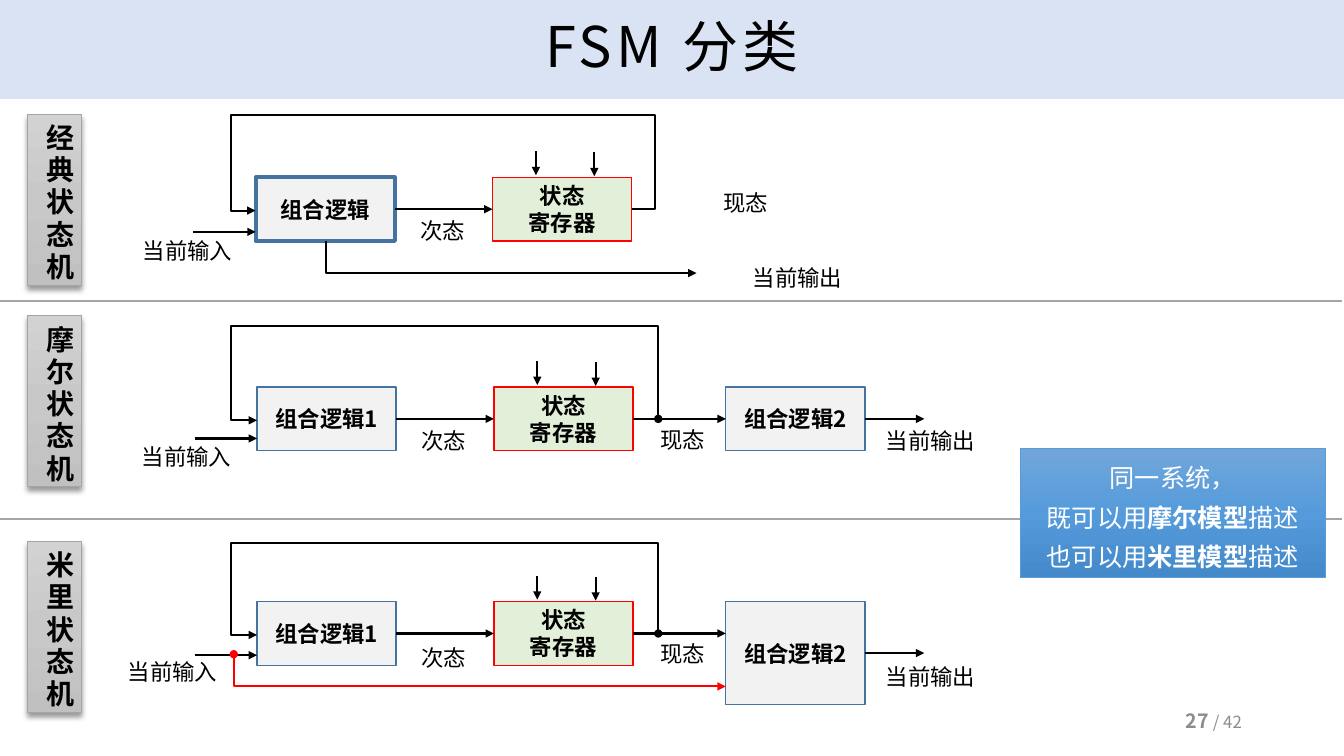
from copy import deepcopy
from dataclasses import dataclass
from typing import Optional

from lxml import etree
from pptx import Presentation
from pptx.dml.color import RGBColor
from pptx.enum import shapes, text
from pptx.oxml.ns import qn
from pptx.util import Pt

FONT = "Noto Sans CJK SC"
BLACK, RED, GREY, BLUE = "000000", "FF0000", "A5A5A5", "43739E"
BOX_W, BOX_H = 99.4, 45.4
LOGIC_X, REG_X, LOGIC2_X = 183.6, 352.8, 518.4
FEED_LEFT = 164.9
LEFT, RIGHT = 1, 3
Point = tuple[float, float]


@dataclass
class Machine:
    name: str
    tab_top: float
    top: float  # top of the logic and register boxes
    feed_top: float
    input_y: float
    input_label: Point
    next_label: Point
    state_label: Point
    output_label: Point
    dx: float = 0
    feed_start: float = 470.2
    feed_right: float = 470.2
    logic: str = "组合逻辑1"
    logic_line: float = 1
    logic2_h: Optional[float] = None
    divider: Optional[float] = None


MACHINES = [
    Machine("经典状态机", 81.4, 126.7, 81.4, 165.6, (95, 165.6), (293, 151.9),
            (509.8, 131.8), (530.6, 185), dx=-1, feed_start=451.2, feed_right=468,
            logic="组合逻辑", logic_line=3),
    Machine("摩尔状态机", 225.4, 276.5, 232.6, 313.2, (94.3, 313.2), (293.8, 301.7),
            (464.4, 301), (625.7, 301.7), logic2_h=BOX_H, divider=215.3),
    Machine("米里状态机", 386.6, 429.8, 387.4, 468, (84.2, 466.6), (293.8, 456.5),
            (464.4, 453.6), (625.7, 470.2), logic2_h=73.4, divider=370.8),
]


def color(value: str) -> RGBColor:
    return RGBColor.from_string(value)


def style(p, size: Optional[float], fill: str, bold: Optional[bool] = None,
          name: str = FONT, align=None, spacing: int = 0) -> None:
    p.alignment = align
    f = p.font
    f.size = Pt(size) if size else None
    f.bold = bold
    f.color.rgb = color(fill)
    f.name = name
    props = f._element
    etree.SubElement(props, qn("a:ea"), typeface=name)
    if spacing:
        props.set("spc", str(spacing * 100))


def rect(s, x: float, y: float, w: float, h: float, line: str, width: float):
    sp = s.shapes.add_shape(shapes.MSO_SHAPE.RECTANGLE, Pt(x), Pt(y), Pt(w), Pt(h))
    sp.shadow.inherit = False
    sp.line.color.rgb = color(line)
    sp.line.width = Pt(width)
    return sp


def block(s, x: float, y: float, h: float, lines: list[str], fill: str,
          line: str, width: float = 1):
    sp = rect(s, x, y, BOX_W, h, line, width)
    sp.fill.solid()
    sp.fill.fore_color.rgb = color(fill)
    tf = sp.text_frame
    tf.text = "\n".join(lines)
    tf.vertical_anchor = text.MSO_ANCHOR.MIDDLE
    for p in tf.paragraphs:
        style(p, 16, BLACK, True, align=text.PP_ALIGN.CENTER)
    return sp


def gradient(sp, stops: list[str]) -> None:
    sp.fill.gradient()
    sp.fill.gradient_angle = 270
    stop_list = sp._element.spPr.find(qn("a:gradFill")).find(qn("a:gsLst"))
    stop_list.append(deepcopy(stop_list[-1]))
    for i, stop in enumerate(sp.fill.gradient_stops):
        stop.position = i / 2
        stop.color.rgb = color(stops[i])


def tab(s, y: float, name: str) -> None:
    sp = rect(s, 19.4, y, 38.9, 122.4, GREY, 0.5)
    gradient(sp, ["D2D2D2", "C8C8C8", "C0C0C0"])
    effects = sp._element.spPr.find(qn("a:effectLst"))
    shadow = etree.SubElement(effects, qn("a:outerShdw"), blurRad=str(Pt(4)),
                              dist=str(Pt(3)), dir="5400000", rotWithShape="0")
    tint = etree.SubElement(shadow, qn("a:srgbClr"), val=BLACK)
    etree.SubElement(tint, qn("a:alpha"), val="40000")
    tf = sp.text_frame
    tf.text = name
    tf.word_wrap = False
    tf.auto_size = text.MSO_AUTO_SIZE.SHAPE_TO_FIT_TEXT
    tf.vertical_anchor = text.MSO_ANCHOR.TOP
    tf._txBody.bodyPr.set("vert", "eaVert")
    style(tf.paragraphs[0], 20, BLACK, True, align=text.PP_ALIGN.LEFT, spacing=3)


def label(s, at: Point, words: str) -> None:
    width = 14.4 + 16 * len(words)
    tf = s.shapes.add_textbox(Pt(at[0]), Pt(at[1]), Pt(width), Pt(26.6)).text_frame
    tf.text = words
    tf.word_wrap = False
    tf.auto_size = text.MSO_AUTO_SIZE.SHAPE_TO_FIT_TEXT
    style(tf.paragraphs[0], 16, BLACK)


def connector(s, start: Point, end: Point, fill: str = BLACK, head: str = "",
              tail: str = "triangle", bends: Optional[list[float]] = None):
    """Bends are shares of the width, height and width in turn."""
    kind = shapes.MSO_CONNECTOR.ELBOW if bends else shapes.MSO_CONNECTOR.STRAIGHT
    c = s.shapes.add_connector(kind, *(Pt(v) for v in start + end))
    c.line.color.rgb = color(fill)
    c.line.width = Pt(1.5)
    for tag, end_type in (("a:headEnd", head), ("a:tailEnd", tail)):
        if end_type:
            etree.SubElement(c.line._get_or_add_ln(), qn(tag), type=end_type)
    props = c._element.spPr
    etree.SubElement(props, qn("a:effectLst"))
    if bends:
        geom = props.find(qn("a:prstGeom"))
        geom.set("prst", f"bentConnector{len(bends) + 2}")
        guides = geom.find(qn("a:avLst"))
        for i, bend in enumerate(bends, 1):
            etree.SubElement(guides, qn("a:gd"), name=f"adj{i}",
                             fmla=f"val {round(bend * 100000)}")
    return c


def draw_machine(s, m: Machine) -> None:
    if m.divider:
        connector(s, (0, m.divider), (958.3, m.divider), GREY, tail="")
    tab(s, m.tab_top, m.name)
    logic_x, reg_x = LOGIC_X + m.dx, REG_X + m.dx
    mid = m.top + BOX_H / 2
    logic = block(s, logic_x, m.top, BOX_H, [m.logic], "F2F2F2", BLUE, m.logic_line)
    reg = block(s, reg_x, m.top, BOX_H, ["状态", "寄存器"], "E2F0D9", RED)

    # Input, next state, clock and reset arrows
    connector(s, (139 + m.dx, m.input_y), (logic_x, m.input_y))
    c = connector(s, (logic_x + BOX_W, mid), (reg_x, mid))
    c.begin_connect(logic, RIGHT)
    c.end_connect(reg, LEFT)
    for x, drop in ((383.8, 0), (425.5, 0.7)):
        connector(s, (x + m.dx, m.top - 18.5 + drop), (x + m.dx, m.top - 1.5 + drop))

    # Output logic
    if m.logic2_h:
        logic2 = block(s, LOGIC2_X, m.top, m.logic2_h, ["组合逻辑2"], "F2F2F2", BLUE)
        c = connector(s, (reg_x + BOX_W, mid), (LOGIC2_X, mid))
        c.begin_connect(reg, RIGHT)
        if m.logic2_h == BOX_H:
            c.end_connect(logic2, LEFT)
        out_y = m.top + m.logic2_h / 2
        c = connector(s, (LOGIC2_X + BOX_W, out_y), (660.2, out_y))
        c.begin_connect(logic2, RIGHT)
    else:
        connector(s, (232.6, m.top + BOX_H), (497.5, 195.1), bends=[0])

    # State feedback
    span = logic_x - m.feed_start
    connector(s, (m.feed_start, mid), (logic_x, mid + 1),
              head="oval" if m.logic2_h else "",
              bends=[(m.feed_right - m.feed_start) / span, m.feed_top - mid,
                     (FEED_LEFT - m.feed_start) / span])

    for at, words in ((m.input_label, "当前输入"), (m.next_label, "次态"),
                      (m.state_label, "现态"), (m.output_label, "当前输出")):
        label(s, at, words)


def draw_callout(s) -> None:
    sp = rect(s, 728.6, 320.4, 218.2, 92.2, "5B9BD5", 0.5)
    gradient(sp, ["71A6DB", "559BDB", "448ACA"])
    tf = sp.text_frame
    tf.word_wrap = True
    tf.auto_size = text.MSO_AUTO_SIZE.SHAPE_TO_FIT_TEXT
    tf.vertical_anchor = text.MSO_ANCHOR.TOP
    lines = [("同一系统，",), ("既可以用", "摩尔模型", "描述"), ("也可以用", "米里模型", "描述")]
    for i, parts in enumerate(lines):
        p = tf.add_paragraph() if i else tf.paragraphs[0]
        p.line_spacing = 1.3
        style(p, 18, "FFFFFF", name="Calibri", align=text.PP_ALIGN.CENTER)
        for j, part in enumerate(parts):
            r = p.add_run()
            r.text = part
            r.font.bold = j == 1


def draw_page_number(s) -> None:
    tf = s.shapes.add_textbox(Pt(678.2), Pt(500.4), Pt(216), Pt(28.8)).text_frame
    tf.word_wrap = True
    tf.vertical_anchor = text.MSO_ANCHOR.MIDDLE
    p = tf.paragraphs[0]
    style(p, None, "8C8C8C", align=text.PP_ALIGN.RIGHT)
    for words, size, bold in (("27", 14, True), (" / 42", 12, False)):
        r = p.add_run()
        r.text, r.font.size, r.font.bold = words, Pt(size), bold


def main() -> None:
    prs = Presentation()
    prs.slide_width, prs.slide_height = Pt(960), Pt(540)
    s = prs.slides.add_slide(prs.slide_layouts[5])

    # Title band
    title = s.shapes.title
    title.left, title.top, title.width, title.height = Pt(0), Pt(0), Pt(960), Pt(70.6)
    title.fill.solid()
    title.fill.fore_color.rgb = color("DAE3F3")
    tf = title.text_frame
    tf.text = "FSM 分类"
    tf.auto_size = text.MSO_AUTO_SIZE.NONE
    tf.vertical_anchor = text.MSO_ANCHOR.MIDDLE
    tf.paragraphs[0].line_spacing = 0.9
    style(tf.paragraphs[0], 40, BLACK, align=text.PP_ALIGN.CENTER, spacing=3)

    # State machines, with the red input bypass of the last one
    for m in MACHINES:
        draw_machine(s, m)
    connector(s, (167, 467.3), (LOGIC2_X, 490.3), RED, head="oval", bends=[0])

    draw_callout(s)
    draw_page_number(s)
    prs.save("out.pptx")


if __name__ == "__main__":
    main()
